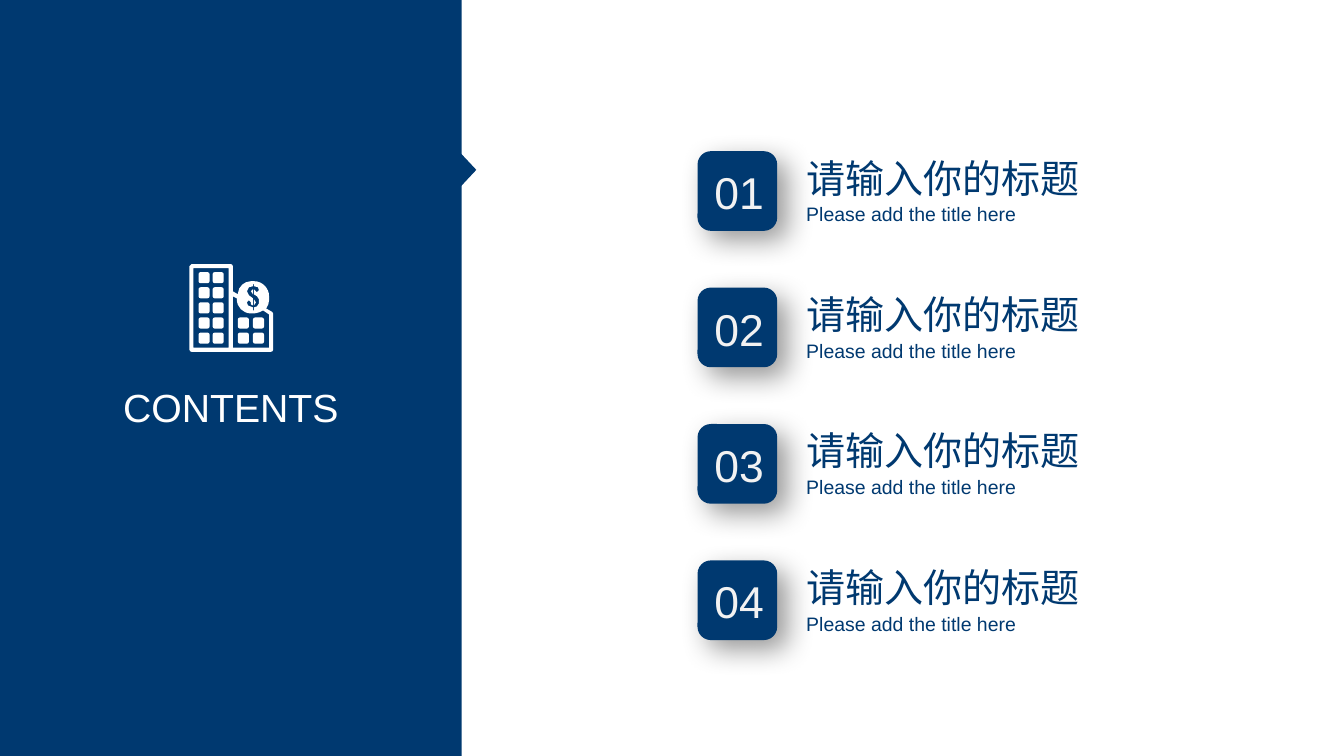
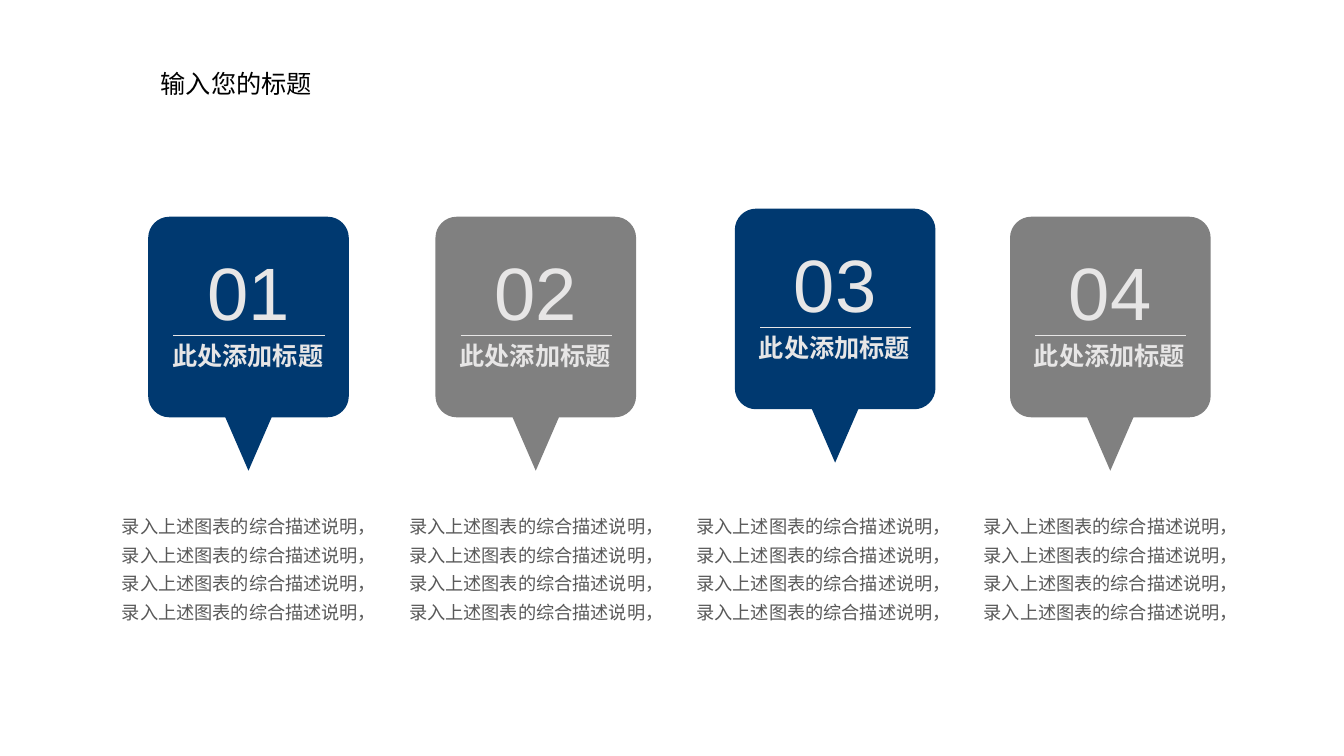
import dataclasses
import math

import lxml.etree
import pptx
import pptx.dml.color
import pptx.enum.lang
import pptx.enum.shapes
import pptx.enum.text
import pptx.oxml
import pptx.oxml.ns
import pptx.util

Inches = pptx.util.Inches
SHAPE = pptx.enum.shapes.MSO_SHAPE
ALIGN = pptx.enum.text.PP_ALIGN
qn = pptx.oxml.ns.qn


@dataclasses.dataclass(frozen=True)
class Theme:
    font: str = "Arial"
    navy: str = "003970"
    grey: str = "808080"
    white: str = "FFFFFF"
    number: str = "F2F2F2"
    pale: str = "E7E6E6"
    body: str = "595959"
    black: str = "000000"
    contents_size: float = 28
    entry_number_size: float = 31.8
    entry_title_size: float = 27.9
    entry_subtitle_size: float = 13.9
    title_size: float = 18
    callout_number_size: float = 53
    callout_label_size: float = 18
    body_size: float = 13


THEME = Theme()


def rgb(color):
    return pptx.dml.color.RGBColor.from_string(color)


def paint(shape, color):
    shape.shadow.inherit = False
    shape.fill.solid()
    shape.fill.fore_color.rgb = rgb(color)
    shape.line.fill.background()
    return shape


def add_block(shapes, kind, left, top, width, height, color):
    block = shapes.add_shape(kind, Inches(left), Inches(top), Inches(width), Inches(height))
    return paint(block, color)


def toward(start, end, length):
    share = length / math.dist(start, end)
    return tuple(a + (b - a) * share for a, b in zip(start, end))


def emu(point):
    return tuple(Inches(value) for value in point)


def bend(segment, controls):
    segment.tag = qn("a:cubicBezTo")
    for index, (x, y) in enumerate(controls):
        point = lxml.etree.Element(qn("a:pt"), x=str(x), y=str(y))
        segment.insert(index, point)


def add_outline(shapes, left, top, contours, color):
    builder, bends, position = None, {}, 0
    for contour in contours:
        corners = [(left + x, top + y) for x, y, _ in contour]
        points = []
        for index, corner in enumerate(corners):
            radius = contour[index][2]
            if not radius:
                points.append(emu(corner))
                continue
            entry = toward(corner, corners[index - 1], radius)
            leave = toward(corner, corners[(index + 1) % len(corners)], radius)
            bends[position + len(points) + 1] = [
                emu(toward(end, corner, 0.55 * radius)) for end in (entry, leave)]
            points += [emu(entry), emu(leave)]
        if builder is None:
            builder = shapes.build_freeform(*points[0], scale=1.0)
        else:
            builder.move_to(*points[0])
        builder.add_line_segments(points[1:], close=True)
        position += len(points) + 1
    outline = builder.convert_to_shape()
    segments = list(outline._element.find(".//" + qn("a:path")))
    for index, controls in bends.items():
        bend(segments[index], [(x - outline.left, y - outline.top) for x, y in controls])
    return paint(outline, color)


def cast_shadow(shape):
    effects = shape._element.spPr.find(qn("a:effectLst"))
    effects.append(pptx.oxml.parse_xml(
        f'<a:outerShdw {pptx.oxml.ns.nsdecls("a")} blurRad="{pptx.util.Pt(20)}" '
        f'dist="{pptx.util.Pt(10)}" dir="2700000" algn="tl" rotWithShape="0">'
        f'<a:srgbClr val="{THEME.black}"><a:alpha val="40000"/></a:srgbClr></a:outerShdw>'))


def write(frame, lines, size, color, align=ALIGN.LEFT, bold=False, wrap=False, spacing=1.0):
    frame.word_wrap = wrap
    frame.auto_size = pptx.enum.text.MSO_AUTO_SIZE.SHAPE_TO_FIT_TEXT
    frame.vertical_anchor = pptx.enum.text.MSO_ANCHOR.TOP
    for index, line in enumerate(lines):
        paragraph = frame.add_paragraph() if index else frame.paragraphs[0]
        paragraph.alignment = align
        paragraph.line_spacing = spacing
        paragraph.space_before = pptx.util.Pt(0)
        run = paragraph.add_run()
        run.text = line
        run.font.name = THEME.font
        run.font.size = pptx.util.Pt(size)
        run.font.bold = bold
        run.font.color.rgb = rgb(color)
        run.font.language_id = pptx.enum.lang.MSO_LANGUAGE_ID.SIMPLIFIED_CHINESE


def add_text(shapes, left, top, width, height, lines, size, color, **style):
    box = shapes.add_textbox(Inches(left), Inches(top), Inches(width), Inches(height))
    write(box.text_frame, lines, size, color, **style)
    return box


def place_title(slide, left, top, width, height, text, size, color):
    title = slide.shapes.title
    title.left, title.top = Inches(left), Inches(top)
    title.width, title.height = Inches(width), Inches(height)
    write(title.text_frame, [text], size, color, align=ALIGN.CENTER, wrap=True)


def rectangle(x, y, width, height, radius=0):
    return [(x, y, radius), (x + width, y, radius),
            (x + width, y + height, radius), (x, y + height, radius)]


def sharp(points):
    return [(x, y, 0) for x, y in points]


def add_building_icon(shapes, left, top):
    silhouette = [(0, 0, 0.02), (0.43, 0, 0.02), (0.43, 0.27, 0), (0.48, 0.3, 0),
                  (0.49, 0.17, 0.12), (0.79, 0.17, 0.15), (0.79, 0.4, 0.04), (0.76, 0.44, 0),
                  (0.83, 0.48, 0.01), (0.83, 0.87, 0.02), (0, 0.87, 0.02)]
    tower = rectangle(0.04, 0.04, 0.35, 0.79)
    annex = [(0.43, 0.32, 0), (0.43, 0.83, 0), (0.79, 0.83, 0), (0.79, 0.5, 0),
             (0.73, 0.46, 0), (0.68, 0.49, 0.05), (0.47, 0.49, 0.14), (0.47, 0.34, 0)]
    corners = [(x, 0.08 + 0.15 * row) for row in range(5) for x in (0.09, 0.23)]
    corners += [(x, 0.53 + 0.15 * row) for row in range(2) for x in (0.48, 0.63)]
    windows = [rectangle(x, y, 0.11, 0.11, 0.02) for x, y in corners]
    dollar = sharp([
        (0.63, 0.2), (0.64, 0.2), (0.64, 0.22), (0.68, 0.23), (0.69, 0.26), (0.67, 0.28),
        (0.65, 0.26), (0.64, 0.25), (0.64, 0.3), (0.67, 0.32), (0.69, 0.35), (0.69, 0.39),
        (0.67, 0.42), (0.64, 0.43), (0.64, 0.46), (0.63, 0.46), (0.63, 0.43), (0.58, 0.41),
        (0.57, 0.38), (0.59, 0.36), (0.61, 0.38), (0.61, 0.4), (0.63, 0.41), (0.63, 0.34),
        (0.59, 0.31), (0.57, 0.27), (0.59, 0.23), (0.63, 0.22)])
    upper_gap = sharp([(0.63, 0.25), (0.61, 0.27), (0.63, 0.3)])
    lower_gap = sharp([(0.64, 0.35), (0.66, 0.38), (0.64, 0.41)])
    add_outline(shapes, left, top,
                [silhouette, tower, annex, *windows, dollar, upper_gap, lower_gap], THEME.white)


def add_contents_panel(slide, left, top, width, height):
    shapes = slide.shapes
    add_block(shapes, SHAPE.RECTANGLE, left, top, width, height, THEME.navy)
    pointer = add_block(shapes, SHAPE.ISOSCELES_TRIANGLE, left + width - 0.09, top + 1.61,
                        0.32, 0.15, THEME.navy)
    pointer.rotation = 90
    add_building_icon(shapes, left + 1.88, top + 2.62)
    place_title(slide, left + 1.07, top + 3.75, 2.44, 0.57, "CONTENTS",
                THEME.contents_size, THEME.white)
    panel_title = shapes.title._element
    panel_title.getparent().append(panel_title)


def add_entry(shapes, left, top, number, title, subtitle):
    tile = add_block(shapes, SHAPE.ROUNDED_RECTANGLE, left, top, 0.79, 0.79, THEME.navy)
    cast_shadow(tile)
    add_text(shapes, left + 0.07, top + 0.09, 0.7, 0.64, [number],
             THEME.entry_number_size, THEME.number)
    add_text(shapes, left + 0.98, top + 0.46, 2.31, 0.34, [subtitle],
             THEME.entry_subtitle_size, THEME.navy)
    add_text(shapes, left + 0.98, top - 0.02, 3.15, 0.57, [title],
             THEME.entry_title_size, THEME.navy, wrap=True)


def add_callout(shapes, left, top, number, label, color):
    callout = shapes.add_group_shape().shapes
    side, tail_half, tail = 1.99, 0.23, 0.53
    upper_left, upper_right, lower_right, lower_left = rectangle(0, 0, side, side, 0.21)
    pointer = sharp([(side / 2 + tail_half, side), (side / 2, side + tail),
                     (side / 2 - tail_half, side)])
    bubble = [upper_left, upper_right, lower_right, *pointer, lower_left]
    add_outline(callout, left, top, [bubble], color)
    add_text(callout, left + 0.14, top + 1.18, 1.76, 0.4, [label],
             THEME.callout_label_size, THEME.pale, bold=True)
    add_text(callout, left + 0.48, top + 0.24, 1.03, 0.99, [number],
             THEME.callout_number_size, THEME.pale, align=ALIGN.CENTER)
    rule_y = Inches(top + 1.18)
    rule = callout.add_connector(pptx.enum.shapes.MSO_CONNECTOR.STRAIGHT,
                                 Inches(left + 0.25), rule_y, Inches(left + 1.75), rule_y)
    rule.line.color.rgb = rgb(THEME.pale)
    rule.line.width = pptx.util.Pt(0.75)
    lxml.etree.SubElement(rule._element.spPr, qn("a:effectLst"))


def add_description(shapes, left, top, lines):
    box = add_text(shapes, left, top, 2.94, 1.24, lines, THEME.body_size, THEME.body,
                   align=ALIGN.CENTER, wrap=True, spacing=1.3)
    frame = box.text_frame
    frame.margin_left = frame.margin_right = Inches(0.13)
    frame.margin_top = frame.margin_bottom = Inches(0.07)


def build_contents(slide):
    add_contents_panel(slide, 0, 0, 4.58, 7.5)
    first_top, last_top, count = 1.5, 5.56, 4
    pitch = (last_top - first_top) / (count - 1)
    for index in range(count):
        add_entry(slide.shapes, 6.92, first_top + pitch * index, f"{index + 1:02d}",
                  "请输入你的标题", "Please add the title here")


def build_callouts(slide):
    place_title(slide, 1.13, 0.63, 2.43, 0.4, "输入您的标题", THEME.title_size, THEME.black)
    callout_places = [(1.47, 2.15), (4.32, 2.15), (7.29, 2.07), (10.02, 2.15)]
    for index, (left, top) in enumerate(callout_places):
        color = THEME.grey if index % 2 else THEME.navy
        add_callout(slide.shapes, left, top, f"{index + 1:02d}", "此处添加标题", color)
        add_description(slide.shapes, 1 + 2.85 * index, 4.98,
                        ["录入上述图表的综合描述说明，"] * 4)


def main():
    deck = pptx.Presentation()
    deck.slide_width, deck.slide_height = Inches(40 / 3), Inches(7.5)
    title_only = deck.slide_layouts[5]
    for build in (build_contents, build_callouts):
        build(deck.slides.add_slide(title_only))
    deck.save("out.pptx")


if __name__ == "__main__":
    main()
